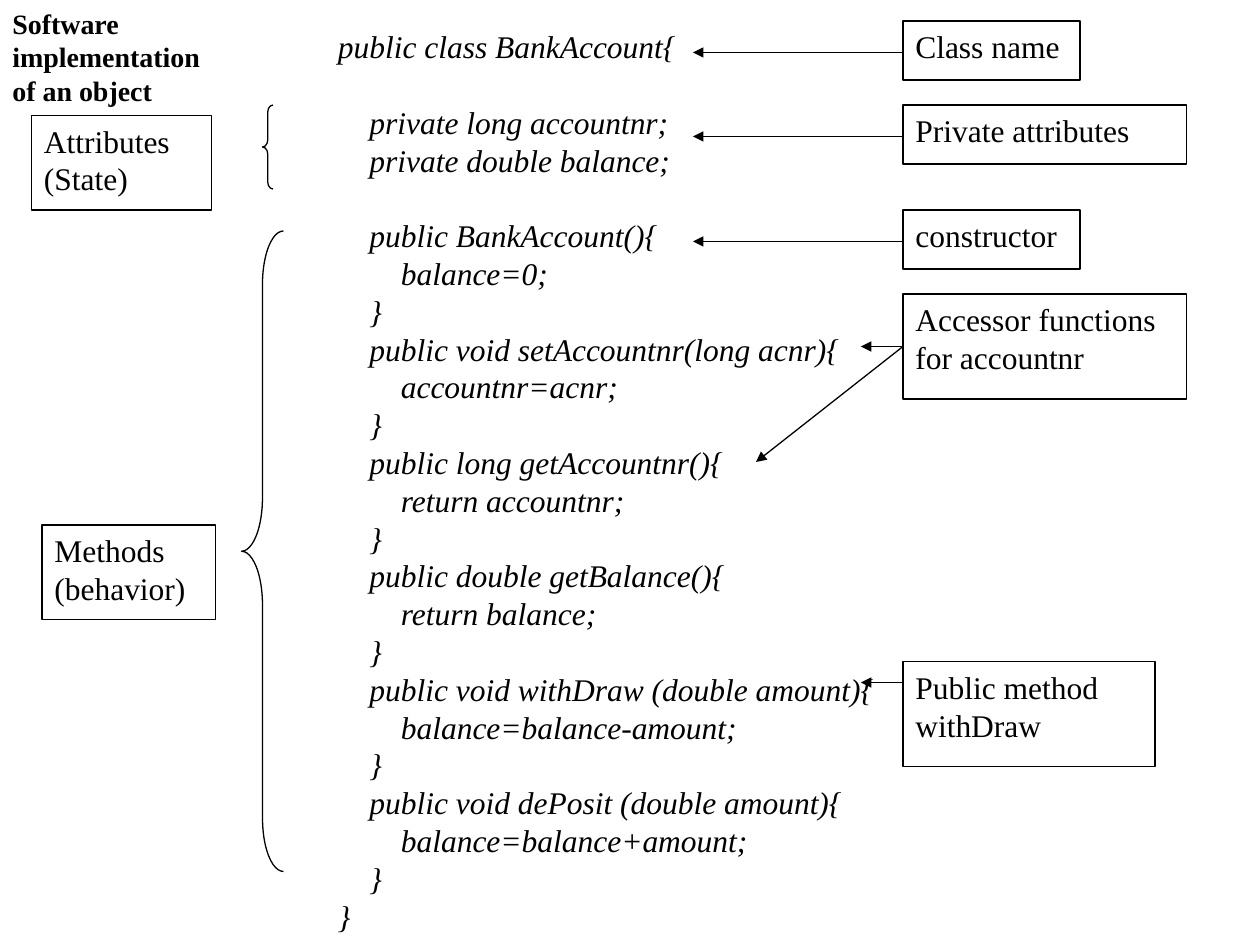
from lxml.etree import SubElement
from pptx import Presentation
from pptx.dml.color import RGBColor
from pptx.enum.shapes import MSO_CONNECTOR, MSO_SHAPE
from pptx.enum.text import MSO_ANCHOR, MSO_AUTO_SIZE, PP_ALIGN
from pptx.oxml.ns import qn
from pptx.util import Emu, Pt

PX = 9525  # EMU per px, 96 px to the inch
BLACK, WHITE = "000000", "FFFFFF"

CODE = """\
public class BankAccount{

    private long accountnr;
    private double balance;

    public BankAccount(){
        balance=0;
    }
    public void setAccountnr(long acnr){
        accountnr=acnr;
    }
    public long getAccountnr(){
        return accountnr;
    }
    public double getBalance(){
        return balance;
    }
    public void withDraw (double amount){
        balance=balance-amount;
    }
    public void dePosit (double amount){
        balance=balance+amount;
    }
}"""

NOTE_X = 688
# top, width, height, text, arrow heads (x, y), arrow start y
NOTES = [
    (16, 135, 45, "Class name", [(528, 40)], 40),
    (80, 216, 45, "Private attributes", [(528, 104)], 104),
    (160, 135, 45, "constructor", [(528, 184)], 184),
    (224, 216, 80, "Accessor functions for accountnr", [(656, 264), (576, 352)], 264),
    (504, 192, 80, "Public method withDraw", [(656, 520)], 520),
]
GROUPS = [
    (24, 88, 137, 72, "Attributes\n(State)"),
    (32, 400, 132, 72, "Methods\n(behavior)"),
]
BRACES = [(184, 176, 32, 488), (200, 80, 8, 64)]


def px(*values):
    return [Emu(v * PX) for v in values]


def rgb(color):
    return RGBColor.from_string(color)


class Sketch:
    font = "Times New Roman"
    line_width = Pt(0.75)
    leading = 1.2

    def __init__(self, slide):
        self.s = slide

    def set_text(self, sp, text, size=18, **font):
        """Fill the frame; an empty line becomes space before the next one."""
        tf = sp.text_frame
        tf.word_wrap = True
        tf.vertical_anchor = MSO_ANCHOR.TOP
        pitch = Pt(size * self.leading)
        style = {"name": self.font, "size": Pt(size), **font}
        p, gap = tf.paragraphs[0], 0
        for i, line in enumerate(text.split("\n")):
            if not line:
                gap += pitch
                continue
            if i:
                p = tf.add_paragraph()
            layout = {"alignment": PP_ALIGN.LEFT, "line_spacing": pitch}
            if gap:
                layout["space_before"] = Emu(gap)
            for name, value in layout.items():
                setattr(p, name, value)
            r = p.add_run()
            r.text = line
            for name, value in style.items():
                setattr(r.font, name, value)
            r.font.color.rgb = rgb(BLACK)
            gap = 0

    def outline(self, line):
        line.color.rgb = rgb(BLACK)
        line.width = self.line_width

    def text(self, x, y, w, h, text, **style):
        sp = self.s.shapes.add_textbox(*px(x, y, w, h))
        self.set_text(sp, text, **style)
        return sp

    def box(self, x, y, w, h, text):
        sp = self.s.shapes.add_shape(MSO_SHAPE.RECTANGLE, *px(x, y, w, h))
        sp.shadow.inherit = False
        sp.fill.solid()
        sp.fill.fore_color.rgb = rgb(WHITE)
        self.outline(sp.line)
        self.set_text(sp, text)
        return sp

    def brace(self, x, y, w, h):
        sp = self.s.shapes.add_shape(MSO_SHAPE.LEFT_BRACE, *px(x, y, w, h))
        sp.shadow.inherit = False
        sp.fill.background()
        self.outline(sp.line)
        sp.adjustments[0] = h / (12 * w)

    def arrow(self, x1, y1, x2, y2, source):
        """Arrow from the left side of source, joined to it at mid-height."""
        cn = self.s.shapes.add_connector(MSO_CONNECTOR.STRAIGHT, *px(x1, y1, x2, y2))
        if source.top + source.height // 2 == y1 * PX:
            cn.begin_connect(source, 1)
        self.outline(cn.line)
        properties = cn._element.spPr
        SubElement(properties.get_or_add_ln(), qn("a:tailEnd"), type="triangle")
        SubElement(properties, qn("a:effectLst"))


def main():
    prs = Presentation()
    prs.slide_width, prs.slide_height = px(960, 720)
    sketch = Sketch(prs.slides.add_slide(prs.slide_layouts[6]))

    sketch.text(248, 16, 448, 616, CODE, italic=True)
    for y, w, h, text, heads, start_y in NOTES:
        note = sketch.box(NOTE_X, y, w, h, text)
        for head in heads:
            sketch.arrow(NOTE_X, start_y, *head, note)
    for group in GROUPS:
        sketch.box(*group)
    for brace in BRACES:
        sketch.brace(*brace)
    title = sketch.text(0, 0, 184, 86, "Software implementation of an object",
                        size=16, bold=True)
    title.text_frame.auto_size = MSO_AUTO_SIZE.SHAPE_TO_FIT_TEXT

    prs.save("out.pptx")


if __name__ == "__main__":
    main()
